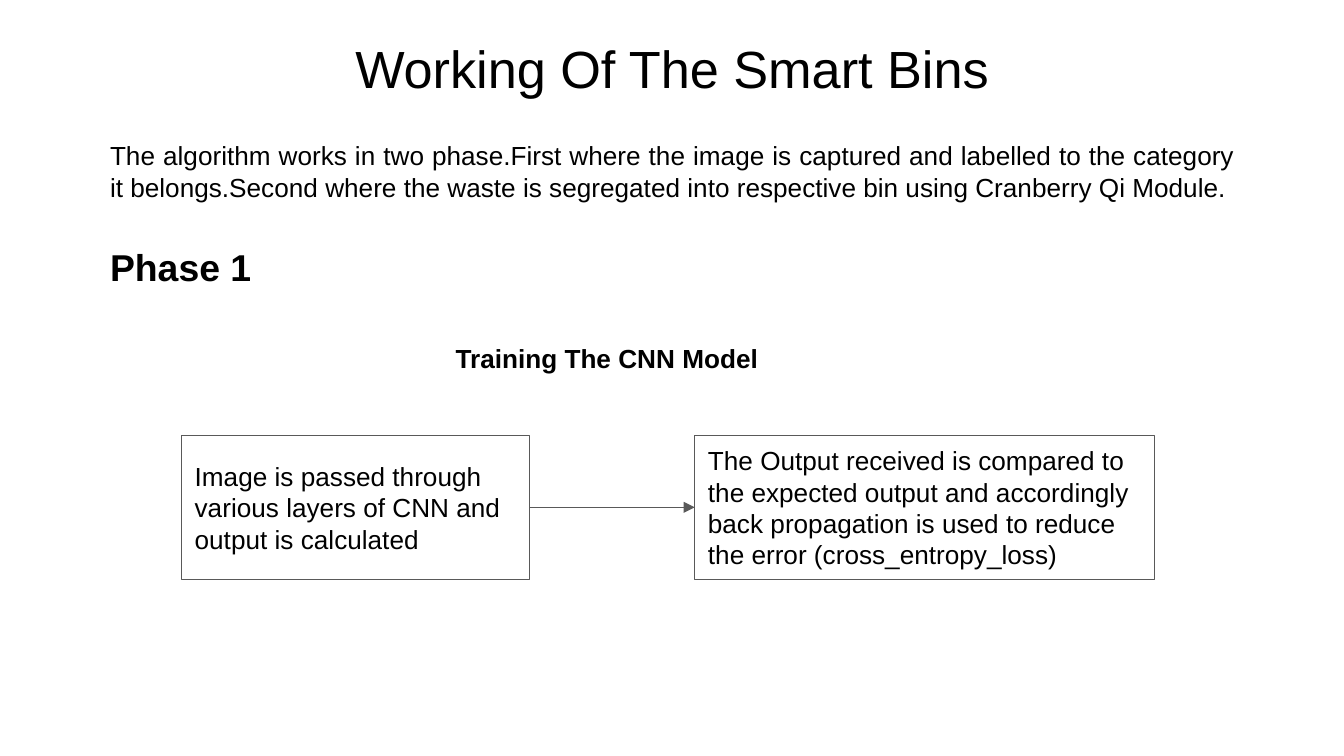
import pptx
import pptx.util
import pptx.dml.color
import pptx.enum.shapes
import pptx.enum.text
import pptx.oxml
import pptx.oxml.ns
import pptx.shapes.autoshape
import pptx.shapes.base
import pptx.shapes.connector
import pptx.slide
import dataclasses

Cm = pptx.util.Cm
Pt = pptx.util.Pt
Align = pptx.enum.text.PP_ALIGN
Anchor = pptx.enum.text.MSO_ANCHOR

COLORS = {"text": "000000", "line": "595959", "back": "FFFFFF"}
FONT = "Arial"
INSET = 0.25
EDGE = 1.83
ROW = 8.23
HIGH = 2.72


@dataclasses.dataclass
class Label:
    text: str
    left: float
    top: float
    width: float
    height: float
    size: float = 14
    bold: bool = False
    align: Align = Align.LEFT
    anchor: Anchor = Anchor.TOP


def color(name: str) -> pptx.dml.color.RGBColor:
    return pptx.dml.color.RGBColor.from_string(COLORS[name])


def write(shape: pptx.shapes.base.BaseShape, label: Label) -> None:
    shape.left, shape.top = Cm(label.left), Cm(label.top)
    shape.width, shape.height = Cm(label.width), Cm(label.height)
    frame = shape.text_frame
    frame.text = label.text
    frame.word_wrap = True
    frame.auto_size = pptx.enum.text.MSO_AUTO_SIZE.NONE
    frame.vertical_anchor = label.anchor
    frame.margin_left = frame.margin_right = Cm(INSET)
    frame.margin_top = frame.margin_bottom = Cm(INSET)
    line = frame.paragraphs[0]
    line.alignment = label.align
    for run in line.runs:
        run.font.name = FONT
        run.font.size = Pt(label.size)
        run.font.bold = label.bold
        run.font.color.rgb = color("text")


def add_text(slide: pptx.slide.Slide, label: Label) -> None:
    write(slide.shapes.add_textbox(0, 0, 0, 0), label)


def add_step(slide: pptx.slide.Slide, label: Label) -> pptx.shapes.autoshape.Shape:
    box = slide.shapes.add_shape(pptx.enum.shapes.MSO_SHAPE.RECTANGLE, 0, 0, 0, 0)
    box.shadow.inherit = False
    box.fill.background()
    box.line.color.rgb = color("line")
    box.line.width = Pt(0.75)
    write(box, label)
    return box


def add_arrow(
    slide: pptx.slide.Slide,
    start: pptx.shapes.autoshape.Shape,
    end: pptx.shapes.autoshape.Shape,
) -> pptx.shapes.connector.Connector:
    kind = pptx.enum.shapes.MSO_CONNECTOR.STRAIGHT
    arrow = slide.shapes.add_connector(kind, 0, 0, 0, 0)
    arrow.begin_connect(start, 3)
    arrow.end_connect(end, 1)
    arrow.line.color.rgb = color("line")
    arrow.line.width = Pt(0.75)
    tip = pptx.oxml.parse_xml(
        f'<a:tailEnd {pptx.oxml.ns.nsdecls("a")} type="triangle" w="med" len="med"/>'
    )
    arrow.line._get_or_add_ln().append(tip)
    none = pptx.oxml.parse_xml(f'<a:effectLst {pptx.oxml.ns.nsdecls("a")}/>')
    arrow._element.spPr.append(none)
    return arrow


TITLE = Label("Working Of The Smart Bins", 6.07, 0.43, 13.26, 1.35, 28, align=Align.CENTER)
NOTES = [
    Label(
        "The algorithm works in two phase.First where the image is captured and "
        "labelled to the category it belongs.Second where the waste is segregated "
        "into respective bin using Cranberry Qi Module.",
        EDGE, 2.39, 21.77, 1.52, align=Align.JUSTIFY,
    ),
    Label("Phase 1", EDGE, 4.37, 6.4, 1.27, 20, True),
    Label("Training The CNN Model", 8.36, 6.22, 6.4, 0.91, bold=True),
]
STEPS = [
    Label(
        "Image is passed through various layers of CNN and output is calculated",
        3.43, ROW, 6.58, HIGH, anchor=Anchor.MIDDLE,
    ),
    Label(
        "The Output received is compared to the expected output and accordingly "
        "back propagation is used to reduce the error (cross_entropy_loss)",
        13.13, ROW, 8.69, HIGH, anchor=Anchor.MIDDLE,
    ),
]


def main() -> None:
    deck = pptx.Presentation()
    deck.slide_width, deck.slide_height = Cm(25.4), Cm(14.29)
    slide = deck.slides.add_slide(deck.slide_layouts[5])
    slide.background.fill.solid()
    slide.background.fill.fore_color.rgb = color("back")
    write(slide.shapes.title, TITLE)
    for note in NOTES:
        add_text(slide, note)
    first, second = [add_step(slide, step) for step in STEPS]
    add_arrow(slide, first, second)
    deck.save("out.pptx")


if __name__ == "__main__":
    main()
